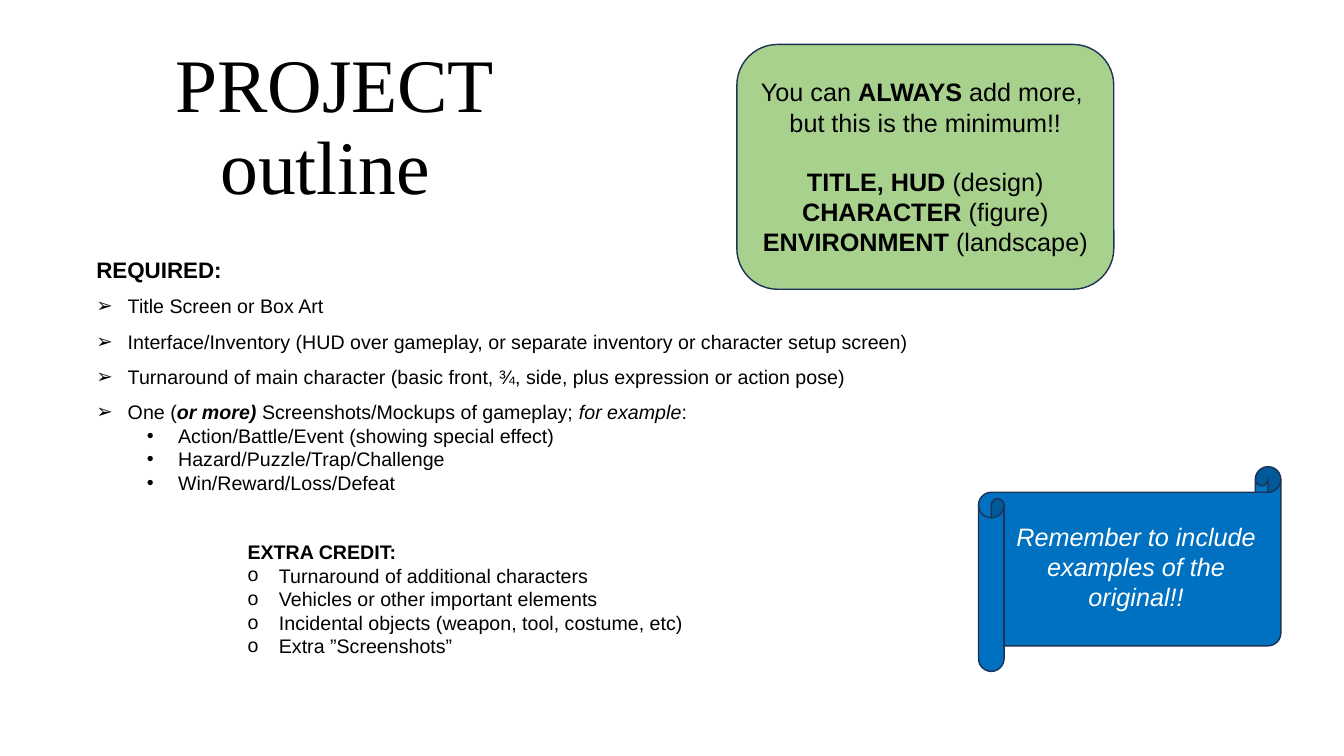
from dataclasses import dataclass

from lxml import etree
from pptx import Presentation
from pptx.dml.color import RGBColor
from pptx.enum.shapes import MSO_SHAPE
from pptx.enum.text import MSO_ANCHOR, PP_ALIGN
from pptx.oxml.ns import qn
from pptx.util import Cm, Pt

ROUNDED = MSO_SHAPE.ROUNDED_RECTANGLE
SCROLL = MSO_SHAPE.HORIZONTAL_SCROLL
TOP, MIDDLE, BOTTOM = MSO_ANCHOR.TOP, MSO_ANCHOR.MIDDLE, MSO_ANCHOR.BOTTOM
LEFT, CENTER = PP_ALIGN.LEFT, PP_ALIGN.CENTER

BLACK, WHITE, NAVY, GREEN, BLUE = "000000", "FFFFFF", "1E3256", "A9D18E", "0070C0"
HANGING = 0.79  # cm between a bullet and its text


@dataclass
class Run:
    text: str
    bold: bool = False
    italic: bool = False


@dataclass
class Line:
    runs: list[Run]
    size: float | None = None
    bullet: str = ""
    level: int = 0
    indent: float = 0
    spacing: float = 1.0
    before: float = 0


@dataclass
class Callout:
    preset: int
    box: tuple[float, float, float, float]
    fill: str
    color: str
    anchor: int
    lines: list[Line]
    bottom_inset: float = 0.13


def rgb(value: str) -> RGBColor:
    return RGBColor.from_string(value)


def set_paragraph_indent(paragraph, line: Line) -> None:
    """Place the text at its indent, with a hanging bullet if there is one."""
    properties = paragraph._p.get_or_add_pPr()
    hanging = HANGING if line.bullet else 0
    properties.set("marL", str(int(Cm(line.indent + hanging))))
    properties.set("indent", str(int(Cm(-hanging))))
    if line.bullet:
        etree.SubElement(properties, qn("a:buFont"), typeface="Arial")
        etree.SubElement(properties, qn("a:buChar"), char=line.bullet)


def write_text(frame, lines: list[Line], *, size: float, color: str = BLACK,
               font: str = "Arial", align: int = LEFT, anchor: int = TOP) -> None:
    frame.word_wrap = True
    frame.vertical_anchor = anchor
    for number, line in enumerate(lines):
        paragraph = frame.add_paragraph() if number else frame.paragraphs[0]
        paragraph.alignment = align
        paragraph.level = line.level
        paragraph.line_spacing = line.spacing
        paragraph.space_before = Pt(line.before)
        set_paragraph_indent(paragraph, line)
        for part in line.runs:
            for row, words in enumerate(part.text.split("\n")):
                if row:
                    paragraph.add_line_break()
                run = paragraph.add_run()
                run.text = words
                run.font.name = font
                run.font.size = Pt(line.size or size)
                run.font.bold = part.bold
                run.font.italic = part.italic
                run.font.color.rgb = rgb(color)


def add_text_box(slide, box: tuple[float, float, float, float],
                 lines: list[Line], **text_format) -> None:
    frame = slide.shapes.add_textbox(*map(Cm, box)).text_frame
    write_text(frame, lines, **text_format)


def add_callout(slide, callout: Callout) -> None:
    shape = slide.shapes.add_shape(callout.preset, *map(Cm, callout.box))
    shape.shadow.inherit = False
    shape.fill.solid()
    shape.fill.fore_color.rgb = rgb(callout.fill)
    shape.line.color.rgb = rgb(NAVY)
    shape.line.width = Pt(1)
    shape.text_frame.margin_bottom = Cm(callout.bottom_inset)
    write_text(shape.text_frame, callout.lines, size=18, color=callout.color,
               align=CENTER, anchor=callout.anchor)


REQUIRED = [
    [Run("Title Screen or Box Art")],
    [Run("Interface/Inventory (HUD over gameplay, or separate inventory "
         "or character setup screen)")],
    [Run("Turnaround of main character (basic front, ¾, side, "
         "plus expression or action pose)")],
    [Run("One ("), Run("or more) ", bold=True, italic=True),
     Run("Screenshots/Mockups of gameplay; "),
     Run("for example", italic=True), Run(":")],
]
EXAMPLES = ["Action/Battle/Event (showing special effect)",
            "Hazard/Puzzle/Trap/Challenge", "Win/Reward/Loss/Defeat"]
EXTRA_CREDIT = ["Turnaround of additional characters",
                "Vehicles or other important elements",
                "Incidental objects (weapon, tool, costume, etc)",
                "Extra ”Screenshots”"]

OUTLINE = [
    Line([Run("REQUIRED:", bold=True)], size=16),
    *(Line(runs, bullet="➢", spacing=1.5) for runs in REQUIRED),
    *(Line([Run(text)], bullet="•", level=1, indent=1.27) for text in EXAMPLES),
    Line([Run("EXTRA CREDIT:", bold=True)], level=3, indent=3.81,
         spacing=1.5, before=24.15),
    *(Line([Run(text)], bullet="o", level=3, indent=3.81) for text in EXTRA_CREDIT),
]

CALLOUTS = [
    Callout(ROUNDED, (18.57, 1.12, 9.5, 6.17), GREEN, BLACK, MIDDLE, [
        Line([Run("You can "), Run("ALWAYS", bold=True), Run(" add more, ")]),
        Line([Run("but this is the minimum!!")]),
        Line([Run("TITLE, HUD ", bold=True), Run("(design)")], before=20.7),
        Line([Run("CHARACTER", bold=True), Run(" (figure)")]),
        Line([Run("ENVIRONMENT", bold=True), Run(" (landscape)")]),
    ]),
    Callout(SCROLL, (24.66, 11.76, 7.62, 5.16), BLUE, WHITE, BOTTOM, [
        Line([Run("Remember to include examples of the original!!", italic=True)]),
    ], bottom_inset=0.86),
]


def main() -> None:
    presentation = Presentation()
    presentation.slide_width, presentation.slide_height = Cm(33.87), Cm(19.05)
    slide = presentation.slides.add_slide(presentation.slide_layouts[6])
    add_text_box(slide, (2.72, 1.12, 11.43, 4.32),
                 [Line([Run("PROJECT\noutline ")], spacing=0.9)],
                 size=54, font="Times New Roman", align=CENTER, anchor=BOTTOM)
    add_text_box(slide, (2.18, 6.32, 21.13, 11.3), OUTLINE, size=14)
    for callout in CALLOUTS:
        add_callout(slide, callout)
    presentation.save("out.pptx")


if __name__ == "__main__":
    main()
